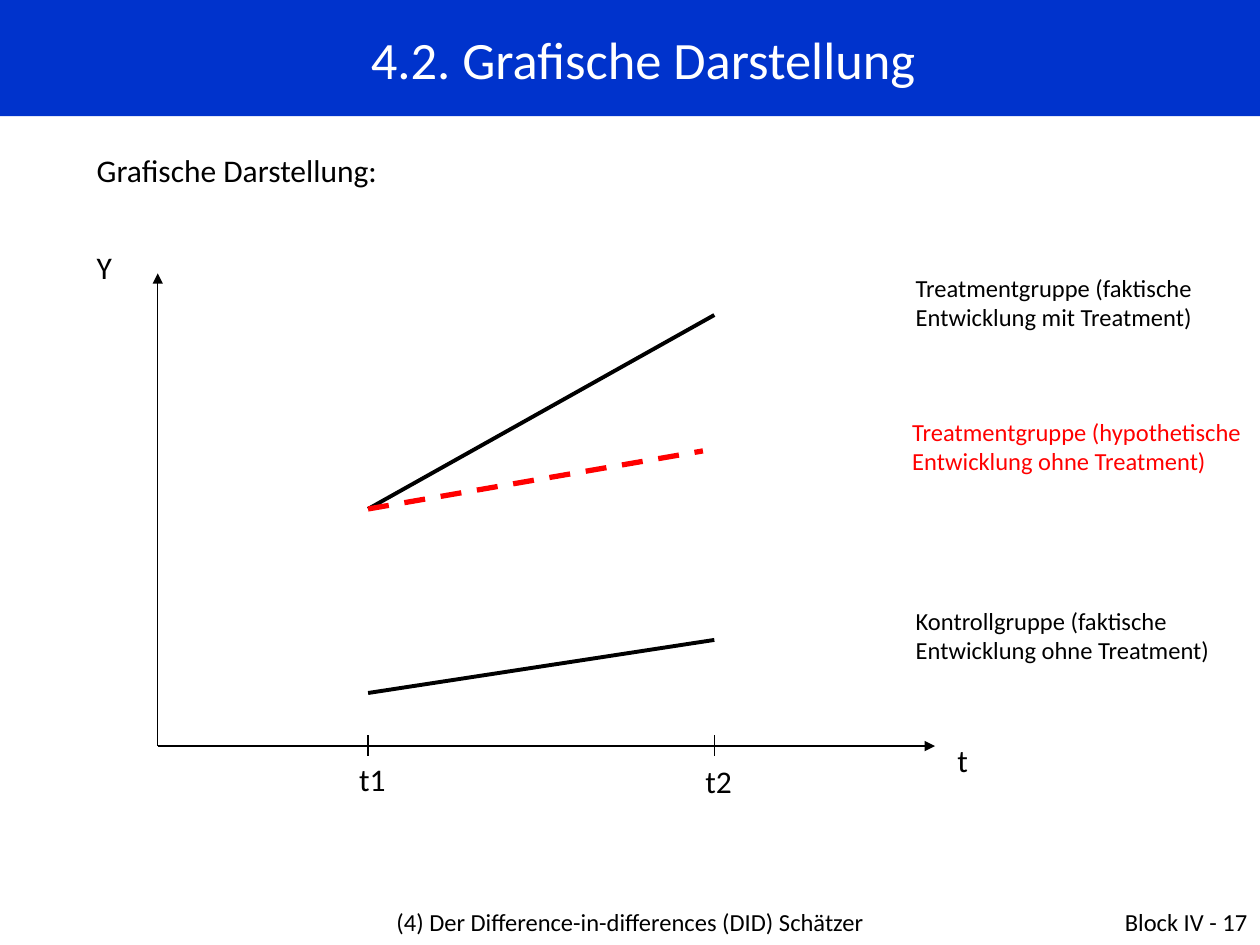
from lxml import etree
from pptx import Presentation
from pptx.dml.color import RGBColor
from pptx.enum.dml import MSO_LINE
from pptx.enum.shapes import MSO_CONNECTOR
from pptx.enum.text import MSO_ANCHOR, MSO_AUTO_SIZE, PP_ALIGN
from pptx.oxml.ns import qn
from pptx.util import Cm, Pt

LEFT, MID, RIGHT = PP_ALIGN.LEFT, PP_ALIGN.CENTER, PP_ALIGN.RIGHT
STRAIGHT, DASH = MSO_CONNECTOR.STRAIGHT, MSO_LINE.DASH
HUES = {"blue": "0033CC", "black": "000000", "red": "FF0000", "white": "FFFFFF"}
FONT = "Calibri"

TITLE = "4.2. Grafische Darstellung"
HEAD = "Grafische Darstellung:"
MARKS = [
    ("Y", 1.7, 4.88),
    ("t", 19.05, 14.81),
    ("t1", 6.99, 15.19),
    ("t2", 13.97, 15.24),
]
NOTES = [
    ("Treatmentgruppe (faktische Entwicklung mit Treatment)", 18.21, 5.38, 6.15, "black"),
    ("Treatmentgruppe (hypothetische Entwicklung ohne Treatment)", 18.14, 8.28, 7.26, "red"),
    ("Kontrollgruppe (faktische Entwicklung ohne Treatment)", 18.21, 12.09, 6.78, "black"),
]
FEET = [
    ("(4) Der Difference-in-differences (DID) Schätzer", 5.72, 13.97, MID),
    ("Block IV - 17", 19.48, 5.92, RIGHT),
]

X0, Y0 = 3.18, 15.04
T1, T2 = 7.42, 14.4
START = (T1, 10.26)
AXES = [(18.85, Y0), (X0, 5.51)]
TRENDS = [
    ((T1, 13.97), (T2, 12.9), "black", 2.25, None),
    (START, (T2, 6.35), "black", 2.25, None),
    (START, (14.17, 9.09), "red", 3, DASH),
]

deck = Presentation()
deck.slide_width, deck.slide_height = Cm(25.4), Cm(19.05)
slide = deck.slides.add_slide(deck.slide_layouts[5])


def rgb(hue):
    return RGBColor.from_string(HUES[hue])


def write(text, box, size=18, hue="black", align=LEFT, space=1, shape=None):
    x, y, w, h = map(Cm, box)
    if shape is None:
        shape = slide.shapes.add_textbox(x, y, w, h)
    else:
        shape.left, shape.top, shape.width, shape.height = x, y, w, h
    frame = shape.text_frame
    frame.word_wrap = True
    frame.auto_size = MSO_AUTO_SIZE.NONE
    frame.text = text
    para = frame.paragraphs[0]
    para.alignment, para.line_spacing = align, space
    font = para.runs[0].font
    font.name, font.size, font.color.rgb = FONT, Pt(size), rgb(hue)
    return shape


def draw(start, end, hue="black", width=0.75, dash=None, arrow=False):
    line = slide.shapes.add_connector(STRAIGHT, *map(Cm, start + end))
    line.line.color.rgb, line.line.width = rgb(hue), Pt(width)
    if dash:
        line.line.dash_style = dash
    if arrow:
        etree.SubElement(line.line._get_or_add_ln(), qn("a:tailEnd"), type="triangle")
    etree.SubElement(line._element.spPr, qn("a:effectLst"))


bar = write(TITLE, (0, 0, 25.4, 2.34), size=30, hue="white", align=MID,
            shape=slide.shapes.title)
bar.fill.solid()
bar.fill.fore_color.rgb = rgb("blue")
bar.text_frame.margin_left = Cm(0.79)
bar.text_frame.vertical_anchor = MSO_ANCHOR.MIDDLE

write(HEAD, (1.7, 2.74, 21.41, 1.22), space=1.25)
for end in AXES:
    draw((X0, Y0), end, arrow=True)
for x in (T1, T2):
    draw((x, 14.82), (x, 15.24))
for start, end, hue, width, dash in TRENDS:
    draw(start, end, hue, width, dash)
for text, x, y in MARKS:
    write(text, (x, y, 1.27, 1.02))
for text, x, y, w, hue in NOTES:
    write(text, (x, y, w, 1.45), size=14, hue=hue)
for text, x, w, align in FEET:
    write(text, (x, 18.16, w, 0.89), size=14, align=align)

deck.save("out.pptx")
